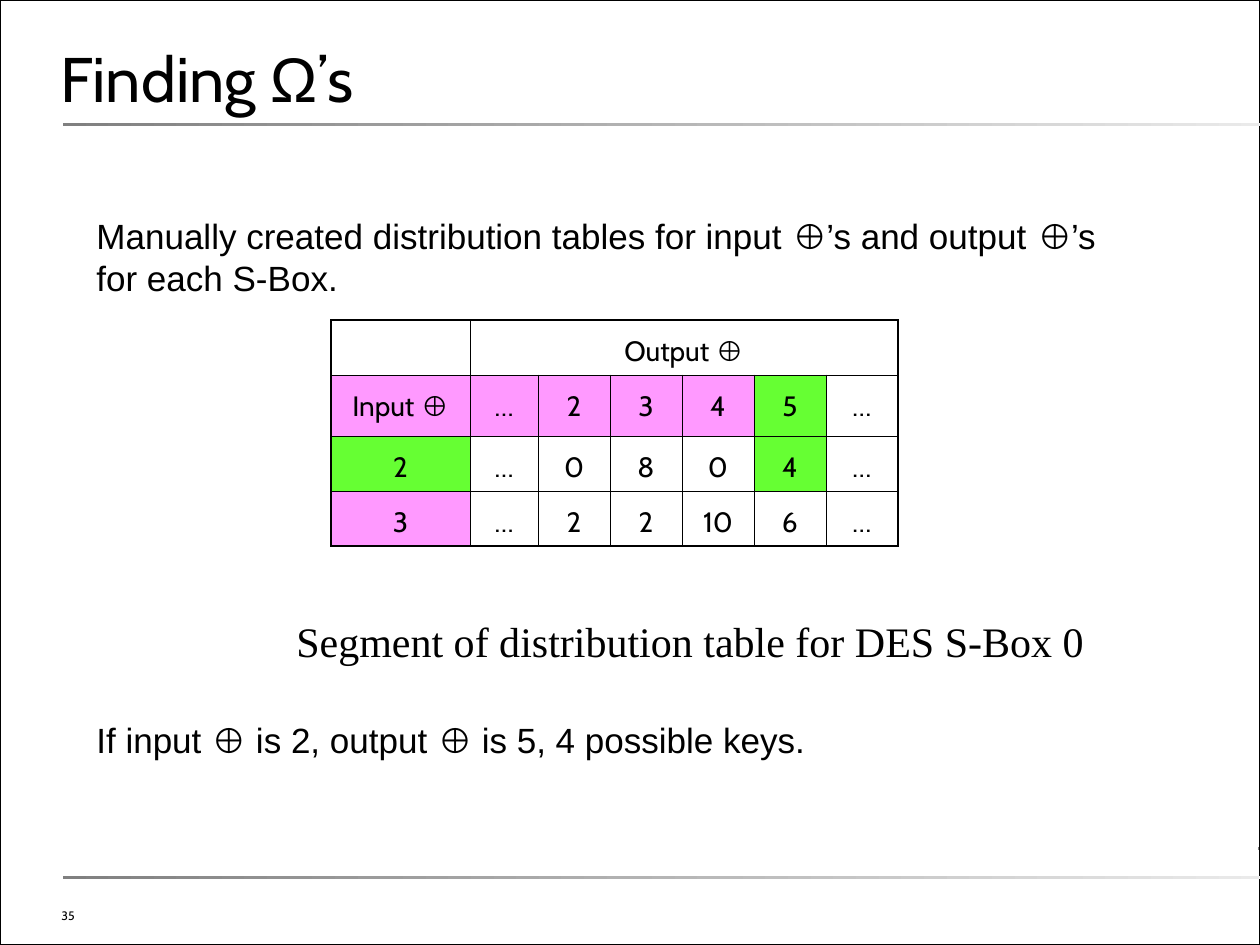
from lxml.etree import SubElement
from pptx import Presentation
from pptx.dml.color import RGBColor
from pptx.enum.shapes import MSO_SHAPE
from pptx.enum.text import MSO_ANCHOR, PP_ALIGN
from pptx.oxml.ns import qn
from pptx.util import Pt

PX = 914400 / 126
BLACK, WHITE, PINK, GREEN = "000000", "FFFFFF", "FF99FF", "66FF33"
COLUMN_WIDTHS = [139, 68] + [72] * 5
ROW_HEIGHTS = [55, 61, 55, 55]
DISTRIBUTION = [
    ["", "Output ⊕", "", "", "", "", ""],
    ["Input ⊕", "…", "2", "3", "4", "5", "…"],
    ["2", "…", "0", "8", "0", "4", "…"],
    ["3", "…", "2", "2", "10", "6", "…"],
]
PINK_CELLS = {(1, 0), (1, 1), (1, 2), (1, 3), (1, 4), (3, 0)}
GREEN_CELLS = {(1, 5), (2, 0), (2, 5)}


def px(length):
    return round(length * PX)


def color(hex_value):
    return RGBColor.from_string(hex_value)


def apply(target, values):
    for name, value in values.items():
        setattr(target, name, value)


def add_panel(slide, box, fill=None, line=None, width=1):
    """Rectangle with an optional solid fill and outline."""
    panel = slide.shapes.add_shape(MSO_SHAPE.RECTANGLE, *map(px, box))
    panel.shadow.inherit = False
    if fill:
        panel.fill.solid()
        panel.fill.fore_color.rgb = color(fill)
    else:
        panel.fill.background()
    if line:
        panel.line.color.rgb = color(line)
        panel.line.width = Pt(width)
    else:
        panel.line.fill.background()
    return panel


def add_rule(slide, box, light="EAEAEA"):
    """Thin bar fading from grey on the left to light on the right."""
    rule = add_panel(slide, box)
    rule.fill.gradient()
    rule.fill.gradient_angle = 180
    for stop, (place, shade) in zip(rule.fill.gradient_stops, [(0, light), (1, "808080")]):
        stop.position = place
        stop.color.rgb = color(shade)


def write(paragraph, text, size, font, symbol_font="Arial", **layout):
    """Fill a paragraph, giving the symbols Ω and ⊕ their own font."""
    apply(paragraph, layout)
    pieces = text.replace("Ω", "|Ω|").replace("⊕", "|⊕|").split("|")
    for piece in filter(None, pieces):
        run = paragraph.add_run()
        run.text = piece
        name = symbol_font if piece in "Ω⊕" else font
        apply(run.font, {"size": Pt(size), "name": name})
        run.font.color.rgb = color(BLACK)


def add_text(slide, box, **frame_format):
    frame = slide.shapes.add_textbox(*map(px, box)).text_frame
    apply(frame, {"word_wrap": True, **frame_format})
    return frame


def set_borders(cell, widths):
    """Black cell borders; widths are points for left, right, top, bottom."""
    properties = cell._tc.get_or_add_tcPr()
    for index, (side, width) in enumerate(zip(("lnL", "lnR", "lnT", "lnB"), widths)):
        border = SubElement(properties, qn(f"a:{side}"), w=str(Pt(width)))
        fill = SubElement(border, qn("a:solidFill"))
        SubElement(fill, qn("a:srgbClr"), val=BLACK)
        properties.remove(border)
        properties.insert(index, border)


def add_distribution_table(slide, left, top):
    rows, columns = len(ROW_HEIGHTS), len(COLUMN_WIDTHS)
    size = sum(COLUMN_WIDTHS), sum(ROW_HEIGHTS)
    table = slide.shapes.add_table(rows, columns, *map(px, (left, top, *size))).table
    apply(table, {"first_row": False, "horz_banding": False})
    for column, width in zip(table.columns, COLUMN_WIDTHS):
        column.width = px(width)
    for row, height in zip(table.rows, ROW_HEIGHTS):
        row.height = px(height)
    table.cell(0, 1).merge(table.cell(0, columns - 1))

    for r, values in enumerate(DISTRIBUTION):
        for c, value in enumerate(values):
            cell = table.cell(r, c)
            fill = PINK if (r, c) in PINK_CELLS else GREEN if (r, c) in GREEN_CELLS else WHITE
            cell.fill.solid()
            cell.fill.fore_color.rgb = color(fill)
            last_column = c == columns - 1 or (r, c) == (0, 1)
            outer = (c == 0, last_column, r == 0, r == rows - 1)
            set_borders(cell, [1.08 if edge else 0.45 for edge in outer])
            if value:
                write(cell.text_frame.paragraphs[0], value, 16, "Cabin",
                      alignment=PP_ALIGN.CENTER, line_spacing=Pt(24), space_after=Pt(12))


def main():
    presentation = Presentation()
    apply(presentation, {"slide_width": px(1260), "slide_height": px(945)})
    slide = presentation.slides.add_slide(presentation.slide_layouts[6])

    # Page frame and rules
    add_panel(slide, (0, 0, 1260, 945), fill=WHITE, line=WHITE, width=1.5)
    add_rule(slide, (1258, 847, 1, 3), light="D5D5D5")
    add_panel(slide, (0, 0, 1260, 945), line=BLACK)
    for rule_top in (123, 876):
        add_rule(slide, (63, rule_top, 1201, 3))

    # Title
    no_margins = dict.fromkeys(("margin_left", "margin_top", "margin_right", "margin_bottom"), 0)
    title = add_text(slide, (60, 10, 1138, 105), vertical_anchor=MSO_ANCHOR.BOTTOM, **no_margins)
    write(title.paragraphs[0], "Finding Ω’s", 36, "Cabin", line_spacing=Pt(26))

    # Statements above and below the table
    body = add_text(slide, (84, 208, 1029, 561))
    write(body.paragraphs[0], "Manually created distribution tables for input ⊕’s "
          "and output ⊕’s for each S-Box.", 20, "Arial")
    write(body.add_paragraph(), "If input ⊕ is 2, output ⊕ is 5, 4 possible keys.",
          20, "Arial", space_before=Pt(240))

    # Distribution table and its caption
    add_distribution_table(slide, 331, 320)
    caption = add_text(slide, (284, 609, 823, 63), word_wrap=False)
    write(caption.paragraphs[0], "Segment of distribution table for DES S-Box 0",
          24, "Times New Roman")

    # Page number
    page_number = add_text(slide, (49, 900, 440, 29), vertical_anchor=MSO_ANCHOR.BOTTOM)
    write(page_number.paragraphs[0], "35", 7, "Cabin")

    presentation.save("out.pptx")


if __name__ == "__main__":
    main()
